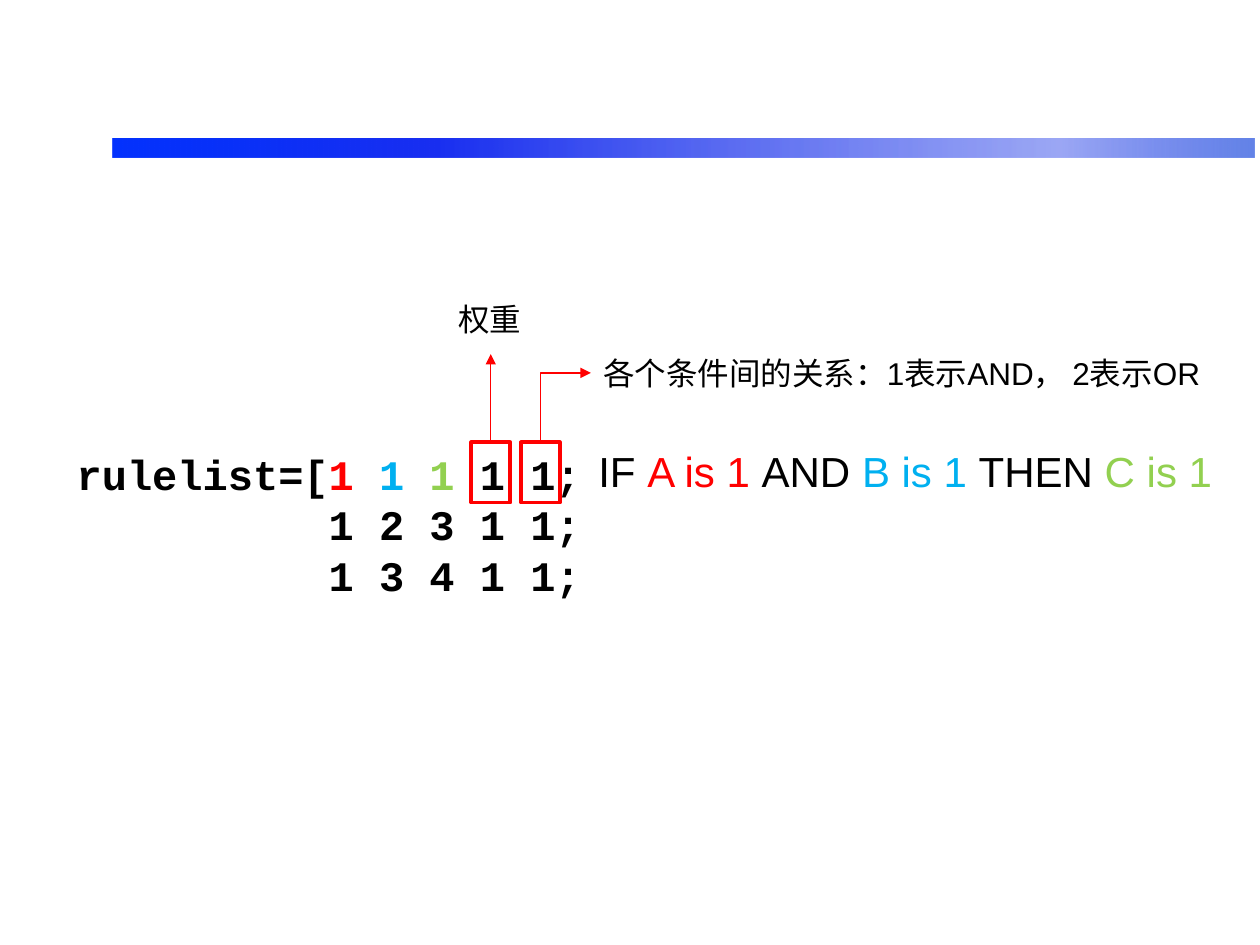
from dataclasses import dataclass

from pptx import Presentation
from pptx.dml.color import RGBColor
from pptx.enum.shapes import MSO_CONNECTOR, MSO_SHAPE
from pptx.oxml import parse_xml
from pptx.oxml.ns import nsdecls, qn
from pptx.util import Inches, Pt

RECT = MSO_SHAPE.RECTANGLE
LINE = MSO_CONNECTOR.STRAIGHT
ELBOW = MSO_CONNECTOR.ELBOW
NS = nsdecls("a")
COLS, ROWS = 100, 75
WIDE, HIGH = Inches(10), Inches(7.5)


@dataclass(frozen=True)
class Theme:
    black: str = "000000"
    red: str = "FF0000"
    blue: str = "00B0F0"
    green: str = "92D050"
    sans: str = "Arial"
    mono: str = "Courier New"
    large: int = 24
    small: int = 18
    fade: tuple = ((0, "0432FE", 100), (10, "0931F9", 100),
                   (28, "192FF1", 100), (83, "3A52EB", 50),
                   (100, "6484E8", 100))


THEME = Theme()


def grid(*cells):
    units = (WIDE / COLS, HIGH / ROWS)
    return [round(cell * units[i % 2]) for i, cell in enumerate(cells)]


def text(slide, area, lines, font=THEME.sans, size=THEME.large,
         bold=False, wrap=False, indent=0):
    frame = slide.shapes.add_textbox(*grid(*area)).text_frame
    frame.word_wrap = wrap
    for i, line in enumerate(lines):
        para = frame.add_paragraph() if i else frame.paragraphs[0]
        if i and indent:
            props = para._p.get_or_add_pPr()
            props.set("marL", str(grid(indent)[0]))
            props.set("indent", "0")
        for words, color in line:
            run = para.add_run()
            run.text = words
            run.font.name = font
            run.font.size = Pt(size)
            run.font.bold = bold
            run.font.color.rgb = RGBColor.from_string(color)


def band(slide, area):
    shape = slide.shapes.add_shape(RECT, *grid(*area))
    shape.shadow.inherit = False
    shape.line.fill.background()
    shape.fill.gradient()
    shape.fill.gradient_angle = 0
    stops = shape._element.spPr.find(qn("a:gradFill")).find(qn("a:gsLst"))
    for stop in list(stops):
        stops.remove(stop)
    for place, color, alpha in THEME.fade:
        stops.append(parse_xml(
            f'<a:gs {NS} pos="{place * 1000}"><a:srgbClr val="{color}">'
            f'<a:alpha val="{alpha * 1000}"/></a:srgbClr></a:gs>'))


def frame(slide, area):
    shape = slide.shapes.add_shape(RECT, *grid(*area))
    shape.shadow.inherit = False
    shape.fill.background()
    shape.line.color.rgb = RGBColor.from_string(THEME.red)
    shape.line.width = Pt(2)


def arrow(slide, kind, ends):
    link = slide.shapes.add_connector(kind, *grid(*ends))
    link.line.color.rgb = RGBColor.from_string(THEME.red)
    link.line.width = Pt(0.75)
    link.line._get_or_add_ln().append(
        parse_xml(f'<a:tailEnd {NS} type="triangle"/>'))
    props = link._element.spPr
    props.append(parse_xml(f"<a:effectLst {NS}/>"))
    return props


def bend(slide, start, end):
    (left, low), (right, top) = start, end
    mid_x, mid_y = (left + right) / 2, (low + top) / 2
    half_w, half_h = (low - top) / 2, (right - left) / 2
    props = arrow(slide, ELBOW, (mid_x + half_w, mid_y + half_h,
                                 mid_x - half_w, mid_y - half_h))
    props.find(qn("a:xfrm")).set("rot", "5400000")
    props.find(qn("a:prstGeom")).set("prst", "bentConnector2")


def main():
    deck = Presentation()
    deck.slide_width, deck.slide_height = WIDE, HIGH
    slide = deck.slides.add_slide(deck.slide_layouts[6])
    black, red, blue, green = THEME.black, THEME.red, THEME.blue, THEME.green

    band(slide, (8.9, 11, 90.7, 1.5))
    text(slide, (46.5, 34.9, 50.7, 5),
         [[("IF ", black), ("A is 1 ", red), ("AND ", black),
           ("B is 1 ", blue), ("THEN ", black), ("C is 1", green)]])
    text(slide, (5.1, 35.1, 49.6, 13.1),
         [[("rulelist=[", black), ("1 ", red), ("1 ", blue),
           ("1", green), (" 1 1; ", black)],
          [("1 2 3 1 1;", black)],
          [("1 3 4 1 1;", black)]],
         font=THEME.mono, bold=True, wrap=True, indent=20)

    top, first, step, width = 35.1, 37.4, 3.95, 3.1
    for i in range(2):
        frame(slide, (first + i * step, top, width, 4.8))
    weight = first + width / 2
    arrow(slide, LINE, (weight, top, weight, 28.1))
    bend(slide, (weight + step, top), (46.9, 29.6))

    text(slide, (35.4, 23.3, 7.1, 4), [[("权重", black)]], size=THEME.small)
    text(slide, (46.9, 27.6, 50, 4),
         [[("各个条件间的关系：1表示AND， 2表示OR", black)]],
         size=THEME.small, wrap=True)
    deck.save("out.pptx")


main()
